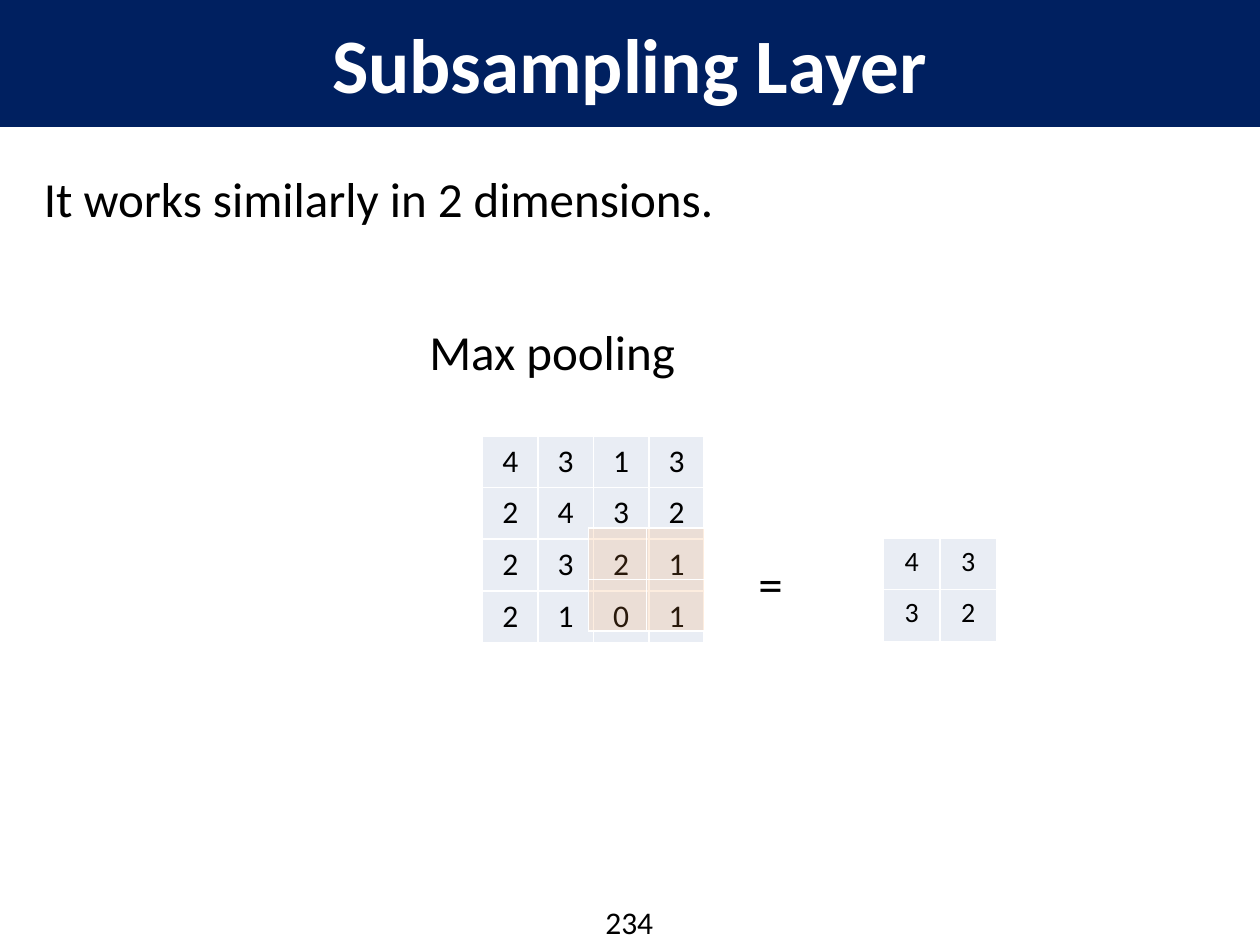
import lxml.etree
import pptx
import pptx.dml.color
import pptx.enum.text
import pptx.oxml.ns
import pptx.util

FONT = "Calibri"
NAVY, WHITE, BLACK = "002060", "FFFFFF", "000000"
CELL_BLUE, WINDOW_ORANGE = "E9EDF4", "F79646"
ALIGN = pptx.enum.text.PP_ALIGN
ANCHOR = pptx.enum.text.MSO_ANCHOR
inches = pptx.util.Inches
hex_color = pptx.dml.color.RGBColor.from_string
qualified = pptx.oxml.ns.qn

presentation = pptx.Presentation()
presentation.slide_width = inches(10)
presentation.slide_height = inches(7.5)
slide = presentation.slides.add_slide(presentation.slide_layouts[5])


def write(frame, text, size, color=BLACK, align=ALIGN.LEFT, bold=False):
    paragraph = frame.paragraphs[0]
    paragraph.alignment = align
    run = paragraph.add_run()
    run.text = text
    run.font.name = FONT
    run.font.size = pptx.util.Pt(size)
    run.font.bold = bold
    run.font.color.rgb = hex_color(color)


def add_grid(left, top, column_width, row_height, values, size, fill, opacity=100):
    """Add a table of equal cells with thin white borders; None leaves a cell empty."""
    rows, columns = len(values), len(values[0])
    table = slide.shapes.add_table(
        rows, columns, inches(left), inches(top),
        inches(columns * column_width), inches(rows * row_height)).table
    table.first_row = False
    table.horz_banding = False
    for row, row_values in enumerate(values):
        for column, value in enumerate(row_values):
            cell = table.cell(row, column)
            cell.fill.solid()
            cell.fill.fore_color.rgb = hex_color(fill)
            properties = cell._tc.get_or_add_tcPr()
            if opacity < 100:
                color = properties.find(".//" + qualified("a:srgbClr"))
                lxml.etree.SubElement(color, qualified("a:alpha"), val=str(opacity * 1000))
            for index, side in enumerate(("a:lnL", "a:lnR", "a:lnT", "a:lnB")):
                border = lxml.etree.Element(qualified(side), w=str(pptx.util.Pt(1)))
                solid = lxml.etree.SubElement(border, qualified("a:solidFill"))
                lxml.etree.SubElement(solid, qualified("a:srgbClr"), val=WHITE)
                properties.insert(index, border)
            if value is not None:
                write(cell.text_frame, str(value), size, align=ALIGN.CENTER)


# Title band
title = slide.shapes.title
title.left, title.top = 0, 0
title.width, title.height = presentation.slide_width, inches(1)
title.fill.solid()
title.fill.fore_color.rgb = hex_color(NAVY)
title.line.color.rgb = hex_color(NAVY)
title.line.width = pptx.util.Pt(0.75)
title.text_frame.auto_size = pptx.enum.text.MSO_AUTO_SIZE.NONE
title.text_frame.vertical_anchor = ANCHOR.MIDDLE
write(title.text_frame, "Subsampling Layer", 44, WHITE, ALIGN.CENTER, bold=True)

# Labels and page number
for text, left, top, width, height, size, align in (
    ("234", 4.58, 7.12, 0.83, 0.4, 18, ALIGN.CENTER),
    ("It works similarly in 2 dimensions.", 0.25, 1.29, 9.5, 0.57, 28, ALIGN.LEFT),
    ("Max pooling", 3.31, 2.5, 2.6, 0.57, 28, ALIGN.LEFT),
    ("=", 5.92, 4.34, 1.5, 0.57, 28, ALIGN.LEFT),
):
    box = slide.shapes.add_textbox(inches(left), inches(top), inches(width), inches(height))
    box.text_frame.word_wrap = True
    write(box.text_frame, text, size, align=align)

# Input, pooling window and pooled output
inputs = [[4, 3, 1, 3], [2, 4, 3, 2], [2, 3, 2, 1], [2, 1, 0, 1]]
pooled = [
    [max(inputs[row][column], inputs[row][column + 1],
         inputs[row + 1][column], inputs[row + 1][column + 1]) for column in (0, 2)]
    for row in (0, 2)
]
add_grid(3.83, 3.46, 0.44, 0.41, inputs, 18, CELL_BLUE)
add_grid(4.67, 4.19, 0.46, 0.41, [[None] * 2] * 2, 18, WINDOW_ORANGE, opacity=17)
add_grid(7.01, 4.27, 0.45, 0.41, pooled, 16, CELL_BLUE)

presentation.save("out.pptx")
